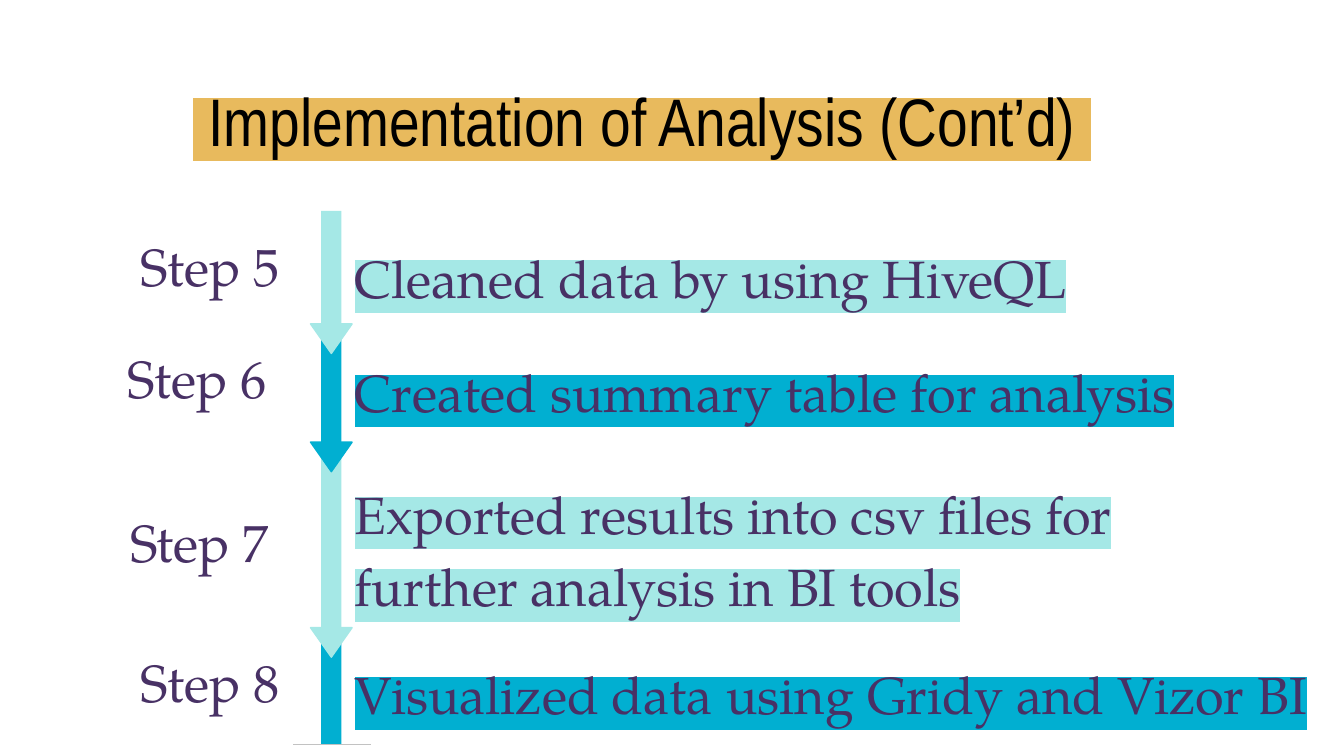
import pptx
import pptx.dml.color
import pptx.enum.shapes
import pptx.enum.text
import pptx.oxml.ns
import pptx.util
from lxml import etree

Inches = pptx.util.Inches
Pt = pptx.util.Pt
RGBColor = pptx.dml.color.RGBColor
ALIGN = pptx.enum.text.PP_ALIGN
SHAPES = pptx.enum.shapes.MSO_SHAPE
qn = pptx.oxml.ns.qn

COLORS = {
    "black": "000000",
    "gold": "E8BA5D",
    "purple": "483165",
    "aqua": "A5E8E6",
    "blue": "01AFD1",
    "gray": "C2C2C2",
}

deck = pptx.Presentation()
deck.slide_width = Inches(10)
deck.slide_height = Inches(10) * 9 // 16
slide = deck.slides.add_slide(deck.slide_layouts[6])


def add_text(text, left, top, width, height, size, font, color, highlight=None):
    """Add a one-paragraph text box and return its paragraph."""
    frame = slide.shapes.add_textbox(
        Inches(left), Inches(top), Inches(width), Inches(height)).text_frame
    frame.word_wrap = True
    frame.margin_left = frame.margin_right = Inches(0.1)
    frame.margin_top = frame.margin_bottom = Inches(0.1)
    frame.text = text
    paragraph = frame.paragraphs[0]
    run = paragraph.runs[0]
    run.font.size = Pt(size)
    run.font.color.rgb = RGBColor.from_string(COLORS[color])
    run.font.name = font
    if highlight:
        marker = etree.Element(qn("a:highlight"))
        etree.SubElement(marker, qn("a:srgbClr"), val=COLORS[highlight])
        run.font._element.find(qn("a:solidFill")).addnext(marker)
    return paragraph


def add_filled(kind, left, top, width, height, color):
    shape = slide.shapes.add_shape(
        kind, Inches(left), Inches(top), Inches(width), Inches(height))
    shape.shadow.inherit = False
    shape.fill.solid()
    shape.fill.fore_color.rgb = RGBColor.from_string(COLORS[color])
    shape.line.fill.background()
    return shape


add_text(" Implementation of Analysis (Cont’d) ", 1.34, 0.49, 8.32, 0.63,
         36, "Arial Narrow", "black", "gold")

# label, its top, width and height, description, its top, width and height,
# bar top and height, color
steps = [
    ("Step 5", 1.57, 1.38, 0.38, "Cleaned data by using HiveQL",
     1.66, 7.12, 0.45, 1.57, 0.87, "aqua"),
    ("Step 6 ", 2.41, 1.38, 0.38, "Created summary table for analysis",
     2.51, 7.12, 0.45, 2.42, 0.87, "blue"),
    ("Step 7", 3.63, 1.3, 0.54,
     "Exported results into csv files for further analysis in BI tools",
     3.42, 7.12, 0.64, 3.3, 1.37, "aqua"),
    ("Step 8", 4.67, 1.38, 0.38, "Visualized data using Gridy and Vizor BI",
     4.76, 7.38, 0.45, 4.67, 0.87, "blue"),
]
for (label, label_top, label_width, label_height,
     description, description_top, description_width, description_height,
     bar_top, bar_height, color) in steps:
    add_filled(SHAPES.RECTANGLE, 2.39, bar_top, 0.15, bar_height, color)
    detail = add_text(description, 2.54, description_top, description_width,
                      description_height, 28, "TeX Gyre Pagella", "purple", color)
    detail.line_spacing = 1.15
    detail.space_after = Pt(16)
    step_name = add_text(label, 0.8, label_top, label_width, label_height,
                         28, "TeX Gyre Pagella", "purple")
    step_name.line_spacing = 1.15
    step_name.alignment = ALIGN.RIGHT

end_line = slide.shapes.add_connector(
    pptx.enum.shapes.MSO_CONNECTOR.STRAIGHT,
    Inches(2.76), Inches(5.54), Inches(2.18), Inches(5.54))
end_line.line.color.rgb = RGBColor.from_string(COLORS["gray"])
end_line.line.width = Pt(0.75)
etree.SubElement(end_line._element.spPr, qn("a:effectLst"))

for tip_top, color in [(2.41, "aqua"), (4.67, "aqua"), (3.29, "blue")]:
    tip = add_filled(SHAPES.ISOSCELES_TRIANGLE, 2.31, tip_top, 0.31, 0.22, color)
    tip.rotation = 180
    tip.line.color.rgb = RGBColor.from_string(COLORS[color])
    tip.line.width = Pt(0.75)

deck.save("out.pptx")
